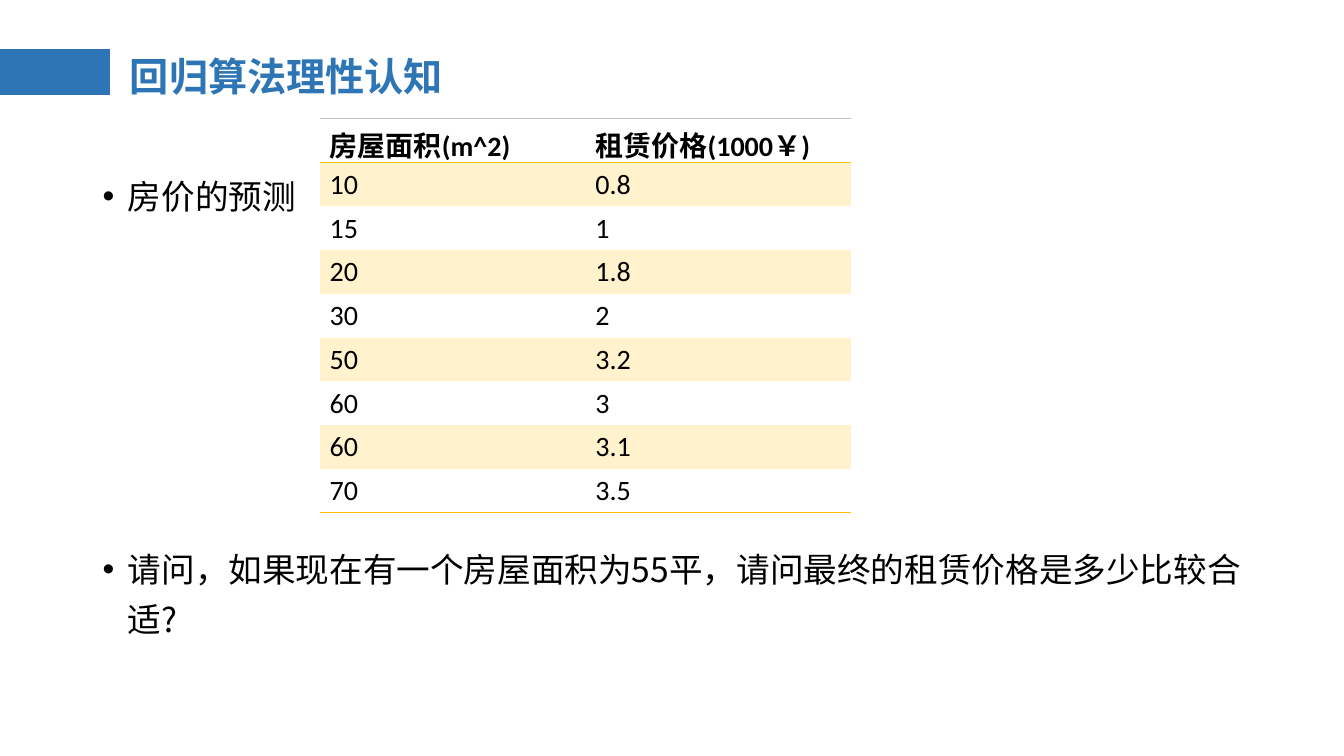
from dataclasses import dataclass

from lxml.etree import SubElement
from pptx import Presentation
from pptx.dml.color import RGBColor
from pptx.enum.shapes import MSO_SHAPE
from pptx.enum.text import MSO_ANCHOR
from pptx.oxml.ns import qn
from pptx.util import Inches, Pt


@dataclass(frozen=True)
class Theme:
    blue: str = "2E75B6"
    white: str = "FFFFFF"
    black: str = "000000"
    gold: str = "FFC000"
    band: str = "FFF2CC"
    grey: str = "BFBFBF"
    latin: str = "Calibri"
    chinese: str = "Noto Sans CJK SC"
    title_size: int = 28
    body_size: int = 24
    table_size: int = 20


THEME = Theme()
HEADER = ("房屋面积(m^2)", "租赁价格(1000￥)")
RENTS = (("10", "0.8"), ("15", "1"), ("20", "1.8"), ("30", "2"),
         ("50", "3.2"), ("60", "3"), ("60", "3.1"), ("70", "3.5"))


def write(frame, text, size, color=THEME.black, font=THEME.chinese,
          bold=False, spacing=None, bullet=False):
    """Put one formatted paragraph into a text frame."""
    frame.word_wrap = True
    paragraph = frame.paragraphs[0]
    paragraph.line_spacing = spacing
    run = paragraph.add_run()
    run.text = text
    run.font.size = Pt(size)
    run.font.bold = bold
    run.font.name = font
    run.font.color.rgb = RGBColor.from_string(color)
    SubElement(run.font._element, qn("a:ea"), typeface=THEME.chinese)
    if bullet:
        properties = paragraph._p.get_or_add_pPr()
        properties.set("marL", str(Inches(0.25)))
        properties.set("indent", str(-Inches(0.25)))
        SubElement(properties, qn("a:buFont"), typeface="Arial")
        SubElement(properties, qn("a:buChar"), char="•")


def draw_border(cell, side, color, width=1):
    """Set one cell edge; edges go before the cell fill."""
    properties = cell._tc.get_or_add_tcPr()
    line = SubElement(properties, qn(f"a:{side}"), w=str(Pt(width)))
    fill = SubElement(line, qn("a:solidFill"))
    SubElement(fill, qn("a:srgbClr"), val=color)


def add_heading(slide, left, top, width, height):
    # Blue marker at the slide edge
    marker = slide.shapes.add_shape(MSO_SHAPE.RECTANGLE, left, top + Inches(0.3),
                                    Inches(1.1), Inches(0.47))
    marker.shadow.inherit = False
    marker.fill.solid()
    marker.fill.fore_color.rgb = RGBColor.from_string(THEME.blue)
    marker.line.color.rgb = RGBColor.from_string(THEME.white)
    marker.line.width = Pt(0.75)
    # Title beside it
    indent = Inches(1.19)
    title = slide.shapes.add_textbox(left + indent, top, width - indent, height)
    title.text_frame.vertical_anchor = MSO_ANCHOR.MIDDLE
    write(title.text_frame, "回归算法理性认知", THEME.title_size,
          color=THEME.blue, bold=True, spacing=0.9)


def add_bullet(slide, text, left, top, width, height):
    box = slide.shapes.add_textbox(left, top, width, height)
    write(box.text_frame, text, THEME.body_size, spacing=1.24, bullet=True)


def add_rent_table(slide, left, top, width, height):
    rows = (HEADER, *RENTS)
    table = slide.shapes.add_table(len(rows), len(HEADER), left, top,
                                   width, height).table
    # Plain grid without the built-in style
    table._tbl.tblPr.find(qn("a:tableStyleId")).text = \
        "{2D5ABB26-0587-4C30-8999-92F81FD0307C}"
    for row_index, row in enumerate(rows):
        for column_index, text in enumerate(row):
            cell = table.cell(row_index, column_index)
            write(cell.text_frame, text, THEME.table_size, font=THEME.latin,
                  bold=row_index == 0)
            # Rules above and below the header, and under the last row
            if row_index == 0:
                draw_border(cell, "lnT", THEME.grey, 0.75)
            if row_index in (0, len(rows) - 1):
                draw_border(cell, "lnB", THEME.gold)
            # Bands on every other data row
            if row_index % 2:
                cell.fill.solid()
                cell.fill.fore_color.rgb = RGBColor.from_string(THEME.band)
            else:
                cell.fill.background()


def main():
    presentation = Presentation()
    presentation.slide_width = Inches(13.33)
    presentation.slide_height = Inches(7.5)
    slide = presentation.slides.add_slide(presentation.slide_layouts[6])
    add_heading(slide, Inches(0), Inches(0.18), Inches(12.69), Inches(1.2))
    add_bullet(slide, "房价的预测", Inches(0.92), Inches(1.6),
               Inches(2.25), Inches(0.7))
    add_bullet(slide, "请问，如果现在有一个房屋面积为55平，请问最终的租赁价格是多少比较合适?",
               Inches(0.92), Inches(5.3), Inches(11.5), Inches(1.4))
    add_rent_table(slide, Inches(3.17), Inches(1.18), Inches(5.27), Inches(3.9))
    presentation.save("out.pptx")


if __name__ == "__main__":
    main()
